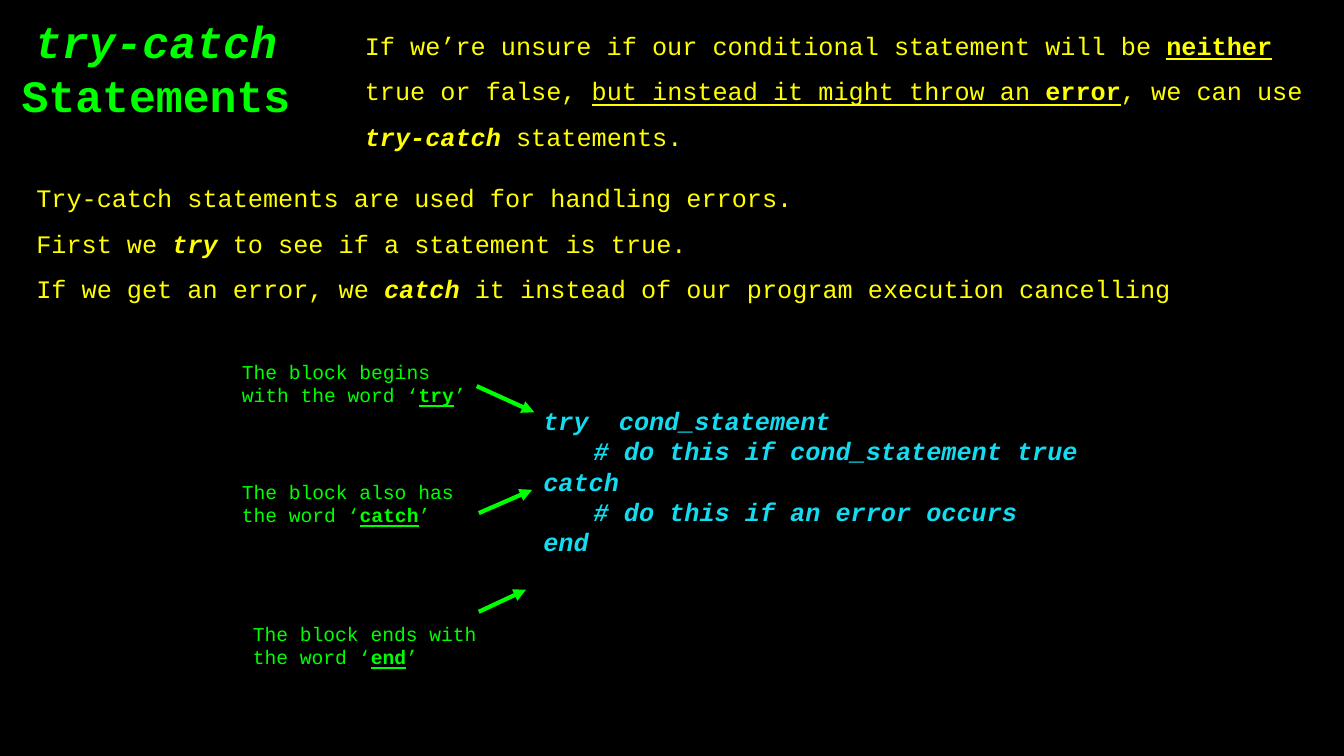
from lxml import etree
from pptx import Presentation
from pptx.dml.color import RGBColor
from pptx.enum import shapes, text
from pptx.oxml import ns
from pptx.util import Pt

BLACK = RGBColor(0x00, 0x00, 0x00)
GREEN = RGBColor(0x00, 0xFF, 0x00)
YELLOW = RGBColor(0xFF, 0xFF, 0x00)
CYAN = RGBColor(0x13, 0xDC, 0xF1)
FONT = "Courier New"
TAB = 72


def place(shape, box):
    shape.left, shape.top, shape.width, shape.height = map(Pt, box)
    return shape


def write(shape, paras, size=18, color=YELLOW, style="", space=1.0,
          align=text.PP_ALIGN.LEFT, tab=None):
    """Fill a shape; a run is text, or (text, style) with letters b, i, u."""
    frame = shape.text_frame
    frame.word_wrap = True
    frame.auto_size = text.MSO_AUTO_SIZE.SHAPE_TO_FIT_TEXT
    frame.vertical_anchor = text.MSO_ANCHOR.TOP
    for n, runs in enumerate(paras):
        para = frame.add_paragraph() if n else frame.paragraphs[0]
        para.alignment, para.line_spacing = align, space
        para.space_before = Pt(0)
        props = para._p.get_or_add_pPr()
        props.set("marL", "0")
        props.set("indent", "0")
        etree.SubElement(props, ns.qn("a:buNone"))
        if tab:
            stops = etree.SubElement(props, ns.qn("a:tabLst"))
            etree.SubElement(stops, ns.qn("a:tab"), pos=str(Pt(tab)), algn="l")
        for part in runs:
            words, marks = (part, style) if isinstance(part, str) else part
            run = para.add_run()
            run.text = words
            font = run.font
            font.name, font.size = FONT, Pt(size)
            font.color.rgb = color
            font.bold = "b" in marks
            font.italic = "i" in marks
            font.underline = "u" in marks


def label(slide, box, paras, **form):
    shape = slide.shapes.add_textbox(*map(Pt, box))
    write(shape, paras, **form)


def arrow(slide, ends):
    line = slide.shapes.add_connector(
        shapes.MSO_CONNECTOR.STRAIGHT, *map(Pt, ends))
    line.line.color.rgb = GREEN
    line.line.width = Pt(3)
    etree.SubElement(line.line._get_or_add_ln(), ns.qn("a:tailEnd"),
                     type="triangle")
    etree.SubElement(line._element.spPr, ns.qn("a:effectLst"))


def main():
    deck = Presentation()
    deck.slide_width, deck.slide_height = Pt(960), Pt(540)
    slide = deck.slides.add_slide(deck.slide_layouts[1])
    slide.background.fill.solid()
    slide.background.fill.fore_color.rgb = BLACK

    # Title
    title = place(slide.shapes.title, (0, 6.5, 223, 85))
    write(title, [[("try-catch", "bi"), " Statements"]], size=32, color=GREEN,
          style="b", align=text.PP_ALIGN.CENTER)

    # Introduction
    label(slide, (253.5, 7.2, 694, 103), [[
        "If we’re unsure if our conditional statement will be ",
        ("neither", "bu"), " true or false, ",
        ("but instead it might throw an ", "u"), ("error", "bu"),
        ", we can use ", ("try-catch ", "bi"), "statements."]], space=1.5)

    # Explanation
    body = place(slide.placeholders[1], (18.7, 116, 840, 103))
    write(body, [
        ["Try-catch statements are used for handling errors."],
        ["First we ", ("try ", "bi"), "to see if a statement is true."],
        ["If we get an error, we ", ("catch", "bi"),
         " it instead of our program execution cancelling"]], space=1.5)

    # Code block
    code = ["try  cond_statement", "\t# do this if cond_statement true",
            "catch", "\t# do this if an error occurs", "end"]
    label(slide, (381, 286, 548, 116.6), [[row] for row in code],
          color=CYAN, style="bi", tab=TAB)

    # Notes pointing at the keywords
    notes = [
        ("begins with the word", "try", (165.6, 253.4),
         (340.5, 275.8, 381.6, 294.5)),
        ("also has the word", "catch", (165.6, 339.1),
         (342, 366.5, 380.2, 349.9)),
        ("ends with the word", "end", (173.5, 440.6),
         (342, 437, 375.8, 421.2)),
    ]
    for words, key, spot, ends in notes:
        label(slide, (*spot, 185.8, 41),
              [[f"The block {words} ‘", (key, "bu"), "’"]],
              size=14, color=GREEN)
        arrow(slide, ends)

    deck.save("out.pptx")


if __name__ == "__main__":
    main()
